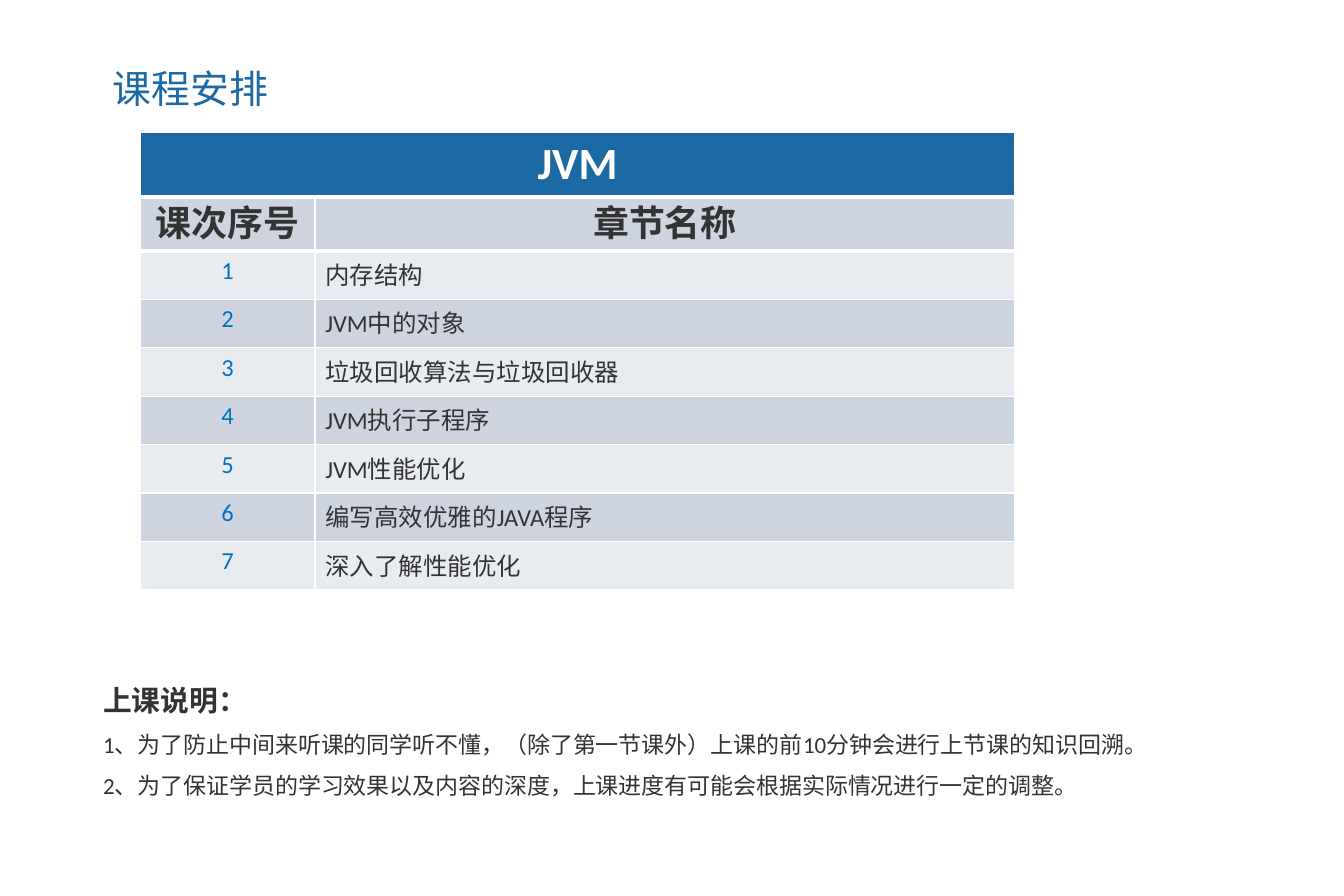
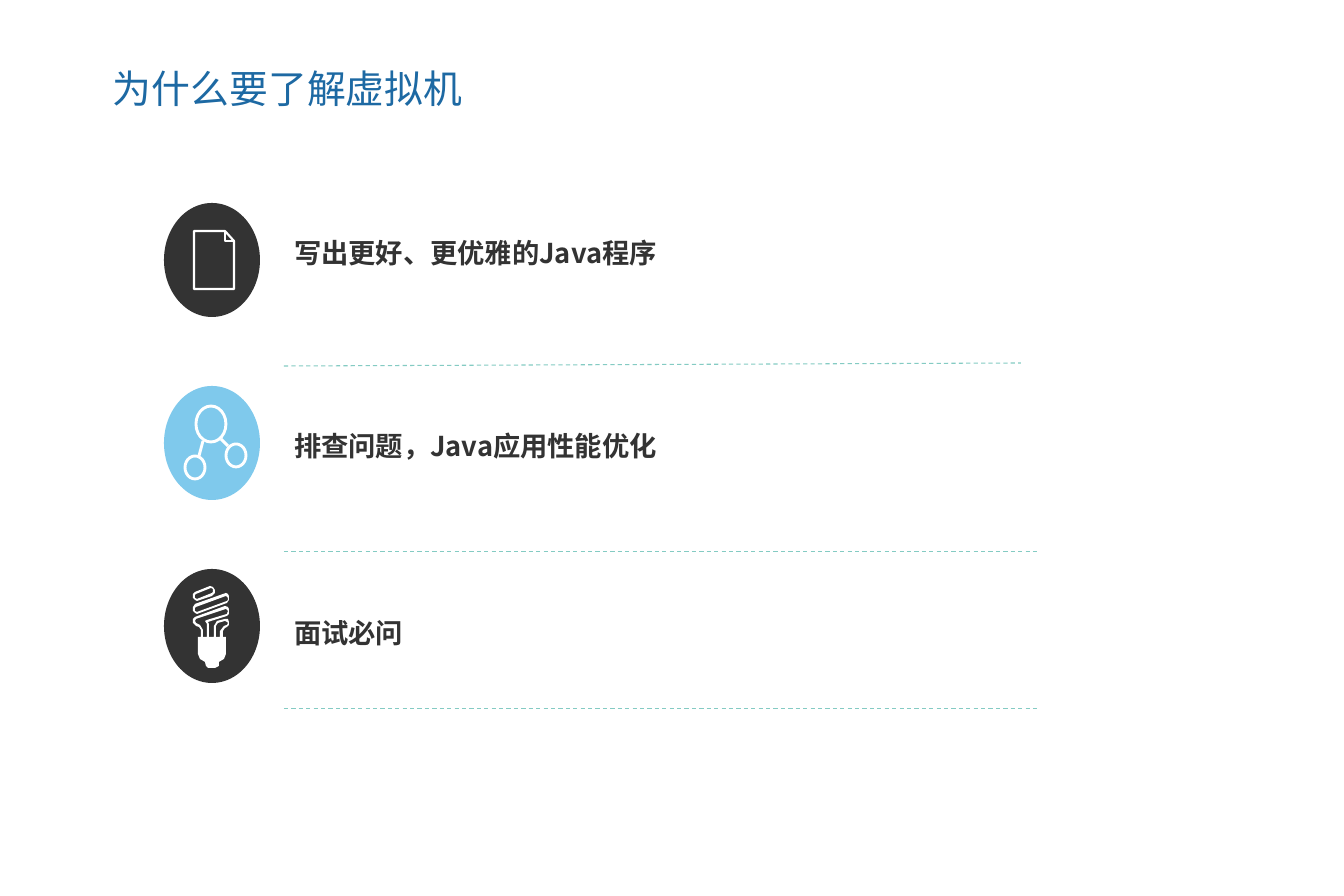
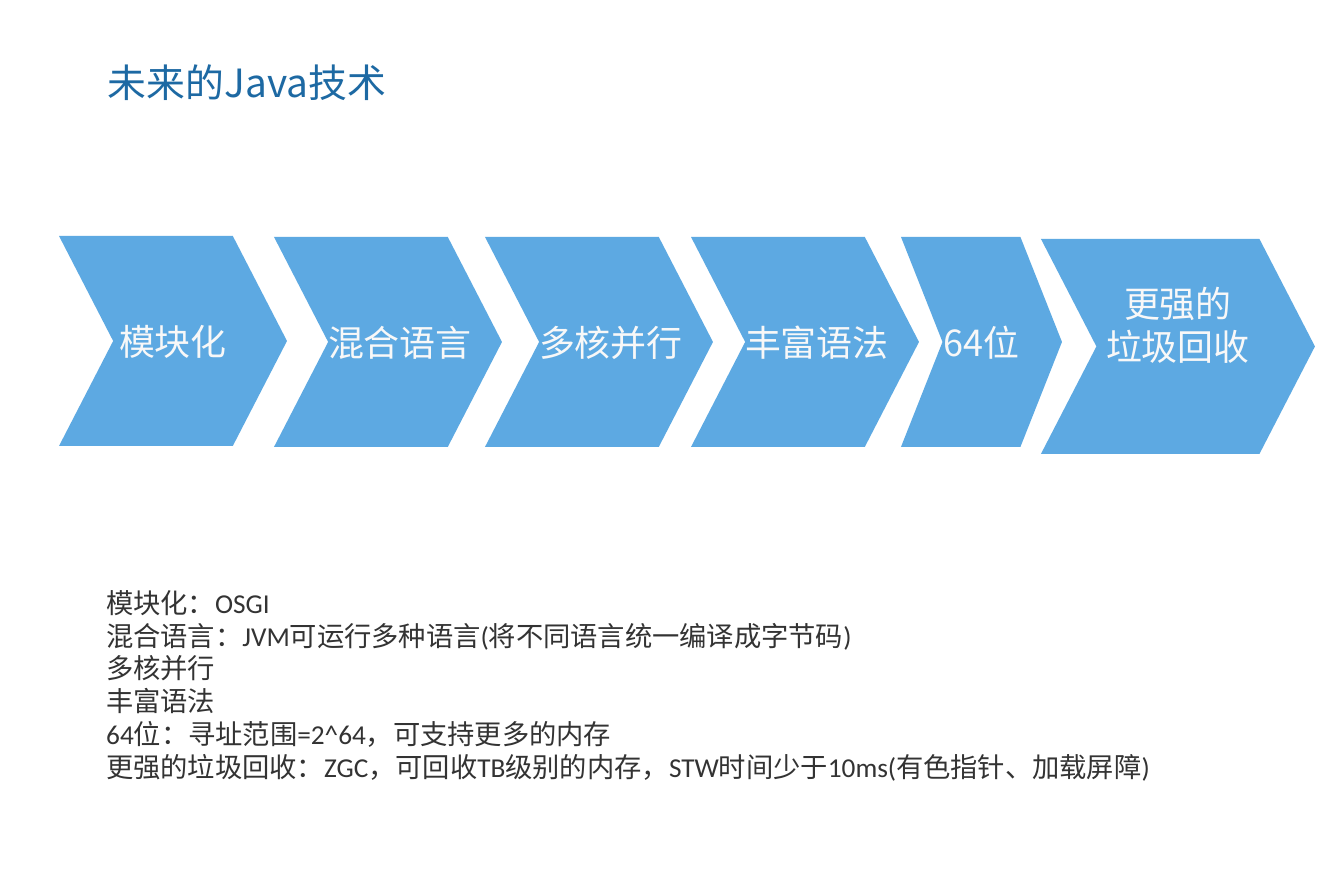
from lxml import etree
from pptx import Presentation
from pptx.dml.color import RGBColor
from pptx.enum.dml import MSO_LINE
from pptx.enum.shapes import MSO_CONNECTOR, MSO_SHAPE
from pptx.enum.text import MSO_ANCHOR, MSO_AUTO_SIZE, PP_ALIGN
from pptx.oxml.ns import qn
from pptx.util import Pt

PX = 914400 / 103.5
TITLE_ONLY = 5
LEFT, CENTER = PP_ALIGN.LEFT, PP_ALIGN.CENTER
TOP, MIDDLE = MSO_ANCHOR.TOP, MSO_ANCHOR.MIDDLE
OVAL, CHEVRON = MSO_SHAPE.OVAL, MSO_SHAPE.CHEVRON
STRAIGHT, DASH = MSO_CONNECTOR.STRAIGHT, MSO_LINE.DASH

BLUE = RGBColor(0x1D, 0x69, 0xA3)
SKY = RGBColor(0x5D, 0xA9, 0xE2)
PALE = RGBColor(0x7F, 0xC9, 0xEC)
TEAL = RGBColor(0x84, 0xCB, 0xC3)
NUMBER = RGBColor(0x00, 0x70, 0xC0)
DARK = RGBColor(0x33, 0x33, 0x33)
WHITE = RGBColor(0xFF, 0xFF, 0xFF)
CLOUD = RGBColor(0xF8, 0xF8, 0xF8)
BAND = RGBColor(0xCD, 0xD4, 0xE0)
LIGHT = RGBColor(0xE8, 0xEB, 0xF0)
SANS, LATIN = "Noto Sans CJK SC", "Calibri"

# Outlines of the bulb: two loops with holes, then the body with two holes
BULB = [
    [(29, 38), (29, 42), (31, 44), (33, 45), (63, 34), (65, 31), (65, 27),
     (64, 25), (62, 24), (31, 35)],
    [(62, 27), (64, 29), (64, 31), (63, 32), (33, 43), (31, 42), (31, 39),
     (32, 38)],
    [(29, 29), (31, 31), (33, 32), (48, 27), (51, 24), (51, 21), (49, 18),
     (46, 17), (31, 23), (29, 25)],
    [(32, 25), (47, 19), (49, 20), (49, 23), (48, 24), (33, 30), (31, 29),
     (31, 26)],
    [(65, 53), (64, 50), (61, 50), (53, 52), (50, 57), (50, 68), (45, 68),
     (45, 55), (44, 53), (63, 47), (65, 45), (65, 40), (64, 38), (61, 37),
     (31, 48), (29, 50), (29, 54), (32, 57), (35, 58), (37, 61), (37, 68),
     (34, 68), (34, 85), (36, 90), (41, 93), (42, 97), (44, 99), (51, 99),
     (55, 97), (55, 93), (60, 90), (62, 85), (62, 68), (59, 68), (59, 62),
     (61, 59), (63, 58), (65, 56)],
    [(41, 52), (43, 55), (43, 68), (39, 68), (39, 61), (36, 56), (32, 54),
     (31, 52), (32, 50), (62, 40), (64, 42), (63, 45), (43, 51)],
    [(63, 56), (60, 57), (56, 62), (56, 68), (52, 68), (52, 57), (54, 54),
     (61, 52), (63, 53), (64, 54)]]


def px(*sizes):
    return [round(size * PX) for size in sizes]


# Shared parts

def style(par, size, color, face=SANS, bold=False, align=LEFT, asian=SANS):
    par.alignment = align
    font = par.font
    font.name, font.size, font.bold = face, Pt(size), bold
    font.color.rgb = color
    props = par._p.pPr.find(qn("a:defRPr"))
    etree.SubElement(props, qn("a:ea"), typeface=asian)


def add_text(slide, box, lines, size, face=SANS, bold=False):
    frame = slide.shapes.add_textbox(*px(*box)).text_frame
    frame.word_wrap = True
    frame.text = "\n".join(lines)
    for par in frame.paragraphs:
        style(par, size, DARK, face, bold)
    return frame


def paint(shape, fill=None, line=None, width=1.5):
    shape.shadow.inherit = False
    if fill is None:
        shape.fill.background()
    else:
        shape.fill.solid()
        shape.fill.fore_color.rgb = fill
    if line is None:
        shape.line.fill.background()
    else:
        shape.line.color.rgb = line
        shape.line.width = Pt(width)


def add_form(slide, kind, box, fill=None, line=None, width=1.5):
    shape = slide.shapes.add_shape(kind, *px(*box))
    paint(shape, fill, line, width)
    return shape


def add_line(slide, ends, color, width):
    line = slide.shapes.add_connector(STRAIGHT, *px(*ends))
    line.line.color.rgb = color
    line.line.width = Pt(width)
    etree.SubElement(line._element.spPr, qn("a:effectLst"))
    return line


def add_path(slide, x, y, loops, fill=None, line=None, close=True):
    loops = [[(x + dx, y + dy) for dx, dy in loop] for loop in loops]
    path = slide.shapes.build_freeform(*loops[0][0], scale=PX)
    for i, loop in enumerate(loops):
        if i:
            path.move_to(*loop[0])
        path.add_line_segments(loop[1:], close=close)
    paint(path.convert_to_shape(), fill, line)


def add_slide(deck, text, x=113, y=65):
    slide = deck.slides.add_slide(deck.slide_layouts[TITLE_ONLY])
    title = slide.shapes.title
    title.left, title.top, title.width, title.height = px(x, y, 409, 49)
    frame = title.text_frame
    frame.text = text
    frame.margin_left = frame.margin_right = 0
    frame.margin_top = frame.margin_bottom = 0
    frame.vertical_anchor = TOP
    frame.auto_size = MSO_AUTO_SIZE.NONE
    style(frame.paragraphs[0], 27, BLUE)
    return slide


# Course plan

def fill_cell(cell, text, fill, size, color, bold=False, align=CENTER,
              asian=SANS):
    cell.text = text
    cell.fill.solid()
    cell.fill.fore_color.rgb = fill
    style(cell.text_frame.paragraphs[0], size, color, LATIN, bold, align,
          asian)


def edge_cell(cell, side):
    edge = etree.Element(qn("a:" + side), w=str(Pt(3)))
    fill = etree.SubElement(edge, qn("a:solidFill"))
    etree.SubElement(fill, qn("a:srgbClr"), val=str(WHITE))
    cell._tc.get_or_add_tcPr().insert(0, edge)


def add_plan(slide, box, names):
    count = len(names) + 2
    table = slide.shapes.add_table(count, 2, *px(*box)).table
    for col, width in zip(table.columns, px(175, 700)):
        col.width = width
    body = [339 / len(names)] * len(names)
    for row, height in zip(table.rows, px(63, 53, *body)):
        row.height = height
    table.cell(0, 0).merge(table.cell(0, 1))
    fill_cell(table.cell(0, 0), "JVM", BLUE, 31, WHITE, True)
    for col, head in enumerate(["课次序号", "章节名称"]):
        fill_cell(table.cell(1, col), head, BAND, 25, DARK, True,
                  asian=LATIN)
        edge_cell(table.cell(0, col), "lnB")
        edge_cell(table.cell(1, col), "lnT")
    for num, name in enumerate(names, 1):
        fill = LIGHT if num % 2 else BAND
        fill_cell(table.cell(num + 1, 0), str(num), fill, 17, NUMBER)
        fill_cell(table.cell(num + 1, 1), name, fill, 17, DARK, align=LEFT)


def plan_slide(deck):
    slide = add_slide(deck, "课程安排")
    add_plan(slide, (140, 132, 875, 455), [
        "内存结构", "JVM中的对象", "垃圾回收算法与垃圾回收器",
        "JVM执行子程序", "JVM性能优化", "编写高效优雅的JAVA程序",
        "深入了解性能优化"])
    notes = add_text(slide, (93, 660, 1200, 150), [
        "上课说明：",
        "1、为了防止中间来听课的同学听不懂，（除了第一节课外）"
        "上课的前10分钟会进行上节课的知识回溯。",
        "2、为了保证学员的学习效果以及内容的深度，"
        "上课进度有可能会根据实际情况进行一定的调整。"], 16, LATIN)
    for par in notes.paragraphs:
        par.line_spacing = 1.5
    head = notes.paragraphs[0].font
    head.size, head.bold = Pt(20), True


# Reasons, each with an icon in a disc

def draw_page(slide, x, y):
    sheet = [(30, 28), (61, 28), (70, 38), (70, 86), (30, 86)]
    add_path(slide, x, y, [sheet], line=WHITE)
    add_path(slide, x, y, [[(61, 28), (61, 38), (70, 38)]], line=WHITE,
             close=False)


def draw_nodes(slide, x, y):
    for dx, dy, w, h in [(32, 20, 30, 36), (21, 70, 20, 23),
                         (62, 58, 20, 23)]:
        add_form(slide, OVAL, (x + dx, y + dy, w, h), line=WHITE, width=2)
    for x1, y1, x2, y2 in [(39, 55, 35, 70), (57, 53, 64, 60)]:
        add_line(slide, (x + x1, y + y1, x + x2, y + y2), WHITE, 2)


def draw_bulb(slide, x, y):
    add_path(slide, x, y, BULB, fill=WHITE)


def add_reason(slide, x, y, disc, icon, label, drop, rule):
    add_form(slide, OVAL, (x, y, 96, 114), disc)
    icon(slide, x, y)
    add_text(slide, (x + 120, y + drop, 850, 45), [label], 19, bold=True)
    start, right, end = rule
    line = add_line(slide, (x + 120, y + start, x + right, y + end),
                    TEAL, 0.75)
    line.line.dash_style = DASH


def reason_slide(deck):
    slide = add_slide(deck, "为什么要了解虚拟机")
    rows = [
        (DARK, draw_page, "写出更好、更优雅的Java程序", 28, (163, 857, 160)),
        (PALE, draw_nodes, "排查问题，Java应用性能优化", 38, (166, 873, 166)),
        (DARK, draw_bulb, "面试必问", 42, (140, 873, 140))]
    for i, row in enumerate(rows):
        add_reason(slide, 164, 203 + 183 * i, *row)


# Future trends

def add_step(slide, box, label, shift=0, lift=0):
    step = add_form(slide, CHEVRON, box, SKY)
    step.adjustments[0] = 0.258
    frame = step.text_frame
    frame.text = label
    frame.word_wrap = False
    frame.vertical_anchor = MIDDLE
    frame.margin_left, frame.margin_bottom = px(10 + shift, 5 + lift)
    style(frame.paragraphs[0], 25, CLOUD, align=CENTER)


def trend_slide(deck):
    slide = add_slide(deck, "未来的Java技术", 108, 59)
    add_step(slide, (59, 236, 228, 210), "模块化")
    for x, label in [(274, "混合语言"), (485, "多核并行"), (691, "丰富语法")]:
        add_step(slide, (x, 237, 228, 210), label, shift=24)
    add_step(slide, (901, 237, 161, 210), "64位")
    add_step(slide, (1041, 239, 274, 215), "更强的\v垃圾回收", lift=43)
    add_text(slide, (96, 581, 1077, 209), [
        "模块化：OSGI",
        "混合语言：JVM可运行多种语言(将不同语言统一编译成字节码)",
        "多核并行",
        "丰富语法",
        "64位：寻址范围=2^64，可支持更多的内存",
        "更强的垃圾回收：ZGC，可回收TB级别的内存，"
        "STW时间少于10ms(有色指针、加载屏障)"], 19, LATIN)


deck = Presentation()
deck.slide_width, deck.slide_height = px(1344, 896)
plan_slide(deck)
reason_slide(deck)
trend_slide(deck)
deck.save("out.pptx")
